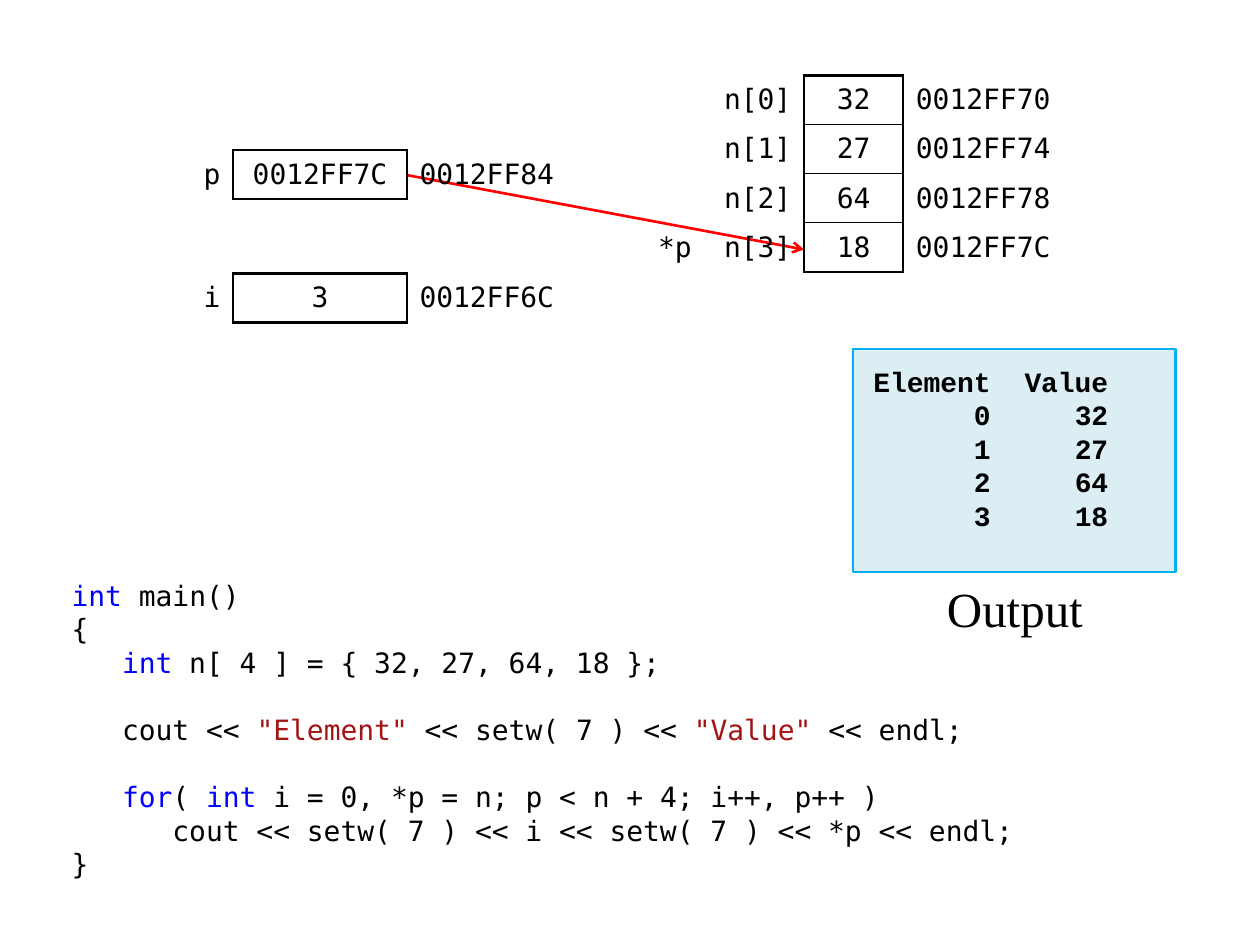
from pptx import Presentation
from pptx.dml.color import RGBColor
from pptx.enum import shapes, text
from pptx.oxml import parse_xml
from pptx.oxml.ns import nsdecls
from pptx.util import Inches, Pt

HUES = {"ink": "000000", "key": "0000FF", "str": "A31515", "red": "FF0000",
        "pale": "DBEEF4", "edge": "00B0F0"}
MONO, COUR, SERIF = "DejaVu Sans Mono", "Courier New", "Times New Roman"
LEAD = 19.2
ROW = 0.39
STEP = 0.4
CHAR = 0.4 / 3

CODE = [
    (0, 0, [("int", "key"), (" main()", "ink")]),
    (0, 0, [("{", "ink")]),
    (1, 0, [("int", "key"), (" n[ 4 ] = { 32, 27, 64, 18 };", "ink")]),
    (1, 1, [("cout << ", "ink"), ('"Element"', "str"),
            (" << setw( 7 ) << ", "ink"), ('"Value"', "str"),
            (" << endl;", "ink")]),
    (1, 1, [("for", "key"), ("( ", "ink"), ("int ", "key"),
            ("i = 0, *p = n; p < n + 4; i++, p++ )", "ink")]),
    (2, 0, [("cout << setw( 7 ) << i << setw( 7 ) << *p << endl;", "ink")]),
    (0, 0, [("}", "ink")]),
]
VALS = [32, 27, 64, 18]
ADDR = ["0012FF70", "0012FF74", "0012FF78", "0012FF7C"]
ARRAY = [("*p" if i == 3 else "", f"n[{i}]", str(val), ADDR[i])
         for i, val in enumerate(VALS)]
TABLES = [
    ((5, 0.6), [0.59, 0.79, 0.79, 1.38], 0.04, ARRAY),
    ((1.46, 1.19), [ROW, 1.38, 1.38], 0, [("p", ADDR[3], "0012FF84")]),
    ((1.46, 2.17), [ROW, 1.38, 1.38], 0, [("i", "3", "0012FF6C")]),
]
PRINT = [("Element", "Value")] + [(str(i), str(v)) for i, v in enumerate(VALS)]

deck = Presentation()
deck.slide_width, deck.slide_height = Inches(10), Inches(7.5)
slide = deck.slides.add_slide(deck.slide_layouts[6])
parts = slide.shapes


def tint(name):
    return RGBColor.from_string(HUES[name])


def write(para, words, hue="ink", size=16, face=MONO, bold=False):
    run = para.add_run()
    run.text = words
    run.font.size, run.font.name, run.font.bold = Pt(size), face, bold
    run.font.color.rgb = tint(hue)


def paras(frame, items):
    for i, item in enumerate(items):
        yield (frame.add_paragraph() if i else frame.paragraphs[0]), item


def edge(cell, side, width):
    props = cell._tc.get_or_add_tcPr()
    fill = (f'<a:solidFill><a:srgbClr val="{HUES["ink"]}"/></a:solidFill>'
            if width else "<a:noFill/>")
    props.append(parse_xml(
        f'<a:ln{side} {nsdecls("a")} w="{Pt(width)}">{fill}</a:ln{side}>'))


def grid(spot, cols, pad, rows):
    shape = parts.add_table(len(rows), len(cols), *map(Inches, spot),
                            Inches(sum(cols)), Inches(ROW * len(rows)))
    table = shape.table
    table.first_row = table.horz_banding = False
    for col, wide in zip(table.columns, cols):
        col.width = Inches(wide)
    box = len(cols) - 2
    for r, row in enumerate(rows):
        table.rows[r].height = Inches(ROW)
        for c, words in enumerate(row):
            cell = table.cell(r, c)
            cell.vertical_anchor = text.MSO_ANCHOR.MIDDLE
            cell.margin_top = cell.margin_bottom = Inches(pad)
            cell.margin_left = Inches(0.1)
            cell.margin_right = Inches(0.08 if c > box else 0.1)
            if c == box and pad == 0:
                cell.margin_left = cell.margin_right = Inches(0.08)
            here = c == box
            widths = {
                "L": 1.5 if c >= box else 0,
                "R": 1.5 if c in (box - 1, box) else 0,
                "T": (0.75 if r else 1.5) if here else 0,
                "B": (0.75 if r < len(rows) - 1 else 1.5) if here else 0,
            }
            for side, width in widths.items():
                edge(cell, side, width)
            cell.fill.background()
            para = cell.text_frame.paragraphs[0]
            para.alignment = (text.PP_ALIGN.RIGHT if c < box else
                              text.PP_ALIGN.CENTER if here else
                              text.PP_ALIGN.LEFT)
            if words:
                write(para, words)


code = parts.add_textbox(*map(Inches, (0.47, 4.54, 7.68, 2.56))).text_frame
code.word_wrap = True
for para, (depth, gap, runs) in paras(code, CODE):
    para.line_spacing = Pt(LEAD)
    para.space_before = Pt(LEAD * gap)
    para._p.get_or_add_pPr().set("marL", str(Inches(STEP * depth)))
    for words, hue in runs:
        write(para, words, hue)

panel = parts.add_shape(shapes.MSO_SHAPE.RECTANGLE,
                        *map(Inches, (6.77, 2.77, 2.56, 1.77)))
panel.shadow.inherit = False
panel.fill.solid()
panel.fill.fore_color.rgb = tint("pale")
panel.line.color.rgb = tint("edge")
panel.line.width = Pt(1.5)
frame = panel.text_frame
frame.word_wrap = True
frame.vertical_anchor = text.MSO_ANCHOR.TOP
frame.margin_left, frame.margin_top = Inches(0.16), Inches(0.12)
stops = "".join(f'<a:tab pos="{Inches(CHAR * n)}" algn="r"/>' for n in (7, 14))
for para, pair in paras(frame, PRINT):
    para.alignment = text.PP_ALIGN.LEFT
    para.line_spacing = Pt(LEAD)
    para._p.get_or_add_pPr().append(
        parse_xml(f'<a:tabLst {nsdecls("a")}>{stops}</a:tabLst>'))
    write(para, "\t" + "\t".join(pair), face=COUR, bold=True)

label = parts.add_textbox(*map(Inches, (7.17, 4.54, 1.77, 0.59))).text_frame
label.word_wrap = True
label.paragraphs[0].alignment = text.PP_ALIGN.CENTER
write(label.paragraphs[0], "Output", size=28, face=SERIF)

arrow = parts.add_connector(shapes.MSO_CONNECTOR.STRAIGHT,
                            *map(Inches, (3.23, 1.39, 6.38, 1.98)))
arrow.line.color.rgb = tint("red")
arrow.line.width = Pt(1.5)
arrow.line._get_or_add_ln().append(
    parse_xml(f'<a:tailEnd {nsdecls("a")} type="arrow"/>'))
arrow._element.spPr.append(parse_xml(f'<a:effectLst {nsdecls("a")}/>'))

for item in TABLES:
    grid(*item)

deck.save("out.pptx")
